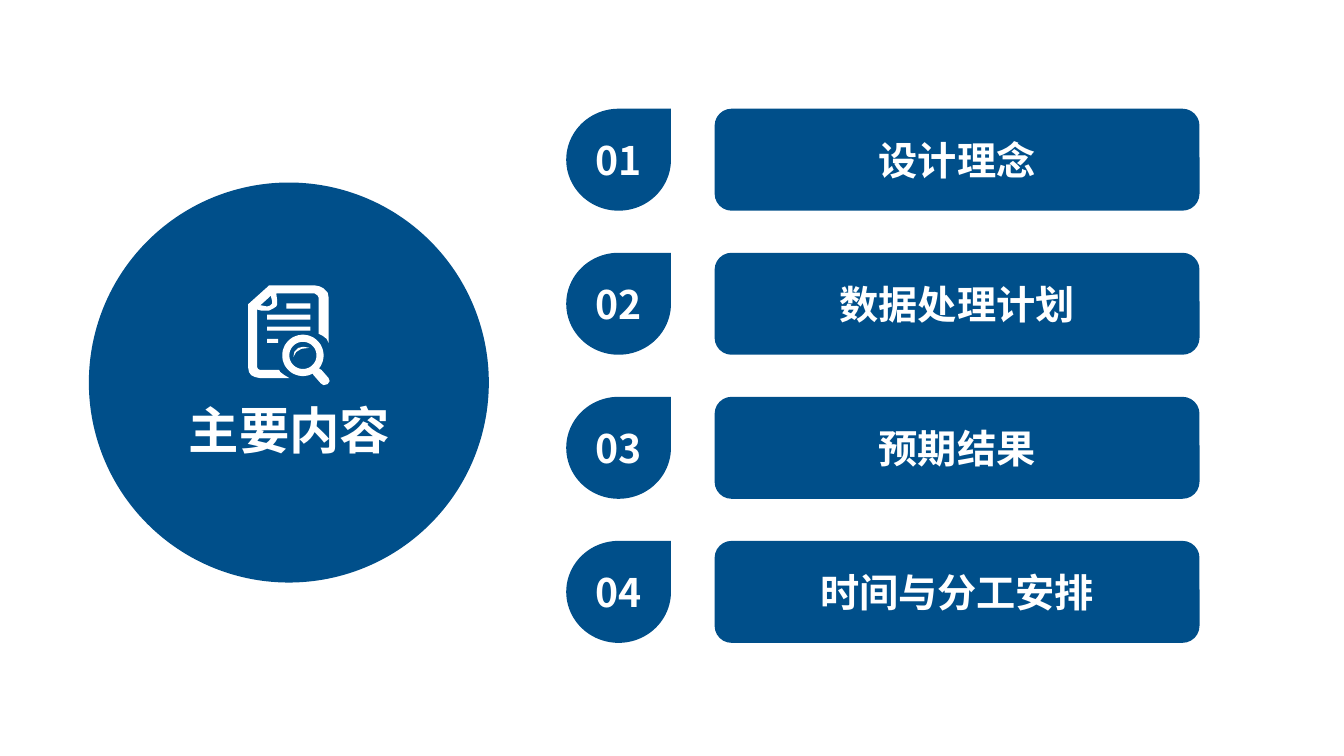
from math import cos, radians, sin

from lxml.etree import SubElement
from pptx import Presentation
from pptx.dml.color import RGBColor
from pptx.enum.shapes import MSO_SHAPE
from pptx.enum.text import MSO_ANCHOR, PP_ALIGN
from pptx.oxml.ns import qn
from pptx.util import Cm, Pt

# Content
TITLE = "主要内容"
TOPICS = ["设计理念", "数据处理计划", "预期结果", "时间与分工安排"]
FONT = "Noto Sans CJK SC"
COLORS = {"blue": "004F8A", "white": "FFFFFF"}

# Layout in centimetres
ROW_TOP, ROW_PITCH, ROW_HEIGHT = 2.74, 3.63, 2.57
NUMBER_LEFT, NUMBER_WIDTH = 14.27, 2.64
TOPIC_LEFT, TOPIC_WIDTH = 18.01, 12.22

# Icon outlines, in units of 0.0254 cm from the icon's corner
ICON_LEFT, ICON_TOP, ICON_UNIT = 6.25, 7.19, 0.0254
PRECISION = 10
PAGE = [(21, 0), (66, 0), (71, 1), (75, 3), (79, 7), (80, 12), (80, 57),
        (78, 53), (74, 50), (70, 48), (70, 12), (69, 10), (66, 8), (28, 8),
        (29, 15), (29, 19), (28, 21), (25, 23), (21, 25), (18, 25), (13, 25),
        (9, 24), (9, 81), (10, 83), (12, 84), (31, 84), (32, 86), (36, 89),
        (41, 92), (12, 92), (7, 91), (3, 89), (1, 86), (0, 81), (0, 19),
        (1, 18), (20, 1)]
FOLD = [(23, 10), (12, 20), (14, 20), (19, 21), (22, 20), (24, 18), (24, 16),
        (23, 12)]
TEXT_LINES = [(38, 18, 24, 5), (19, 29, 43, 5), (19, 41, 43, 4), (19, 53, 11, 4)]
LENS_CENTER, LENS_OUTER, LENS_INNER = (54.5, 69.5), 20.5, 13.5
HANDLE = [(73, 84), (80, 92), (81, 95), (79, 98), (75, 99), (72, 97), (65, 89),
          (64, 87)]
GLINT = [(45, 71), (48, 66), (53, 63), (61, 62), (55, 61), (50, 62), (46, 66)]


def paint(shape, color):
    shape.shadow.inherit = False
    shape.fill.solid()
    shape.fill.fore_color.rgb = RGBColor.from_string(COLORS[color])
    shape.line.fill.background()


def add_block(slide, preset, left, top, width, height, text="", size=28):
    shape = slide.shapes.add_shape(preset, Cm(left), Cm(top), Cm(width), Cm(height))
    paint(shape, "blue")
    if text:
        shape.text_frame.text = text
        shape.text_frame.vertical_anchor = MSO_ANCHOR.MIDDLE
        paragraph = shape.text_frame.paragraphs[0]
        paragraph.alignment = PP_ALIGN.CENTER
        font = paragraph.runs[0].font
        font.size, font.bold, font.name = Pt(size), True, FONT
        font.color.rgb = RGBColor.from_string(COLORS["white"])
        # East Asian typeface
        properties = paragraph.runs[0]._r.get_or_add_rPr()
        SubElement(properties, qn("a:ea")).set("typeface", FONT)
    return shape


def arc(radius, start, end):
    x, y = LENS_CENTER
    return [(x + radius * cos(radians(angle)), y + radius * sin(radians(angle)))
            for angle in range(start, end + 1, 3)]


def add_icon(slide):
    bars = [[(x, y), (x, y + height), (x + width, y + height), (x + width, y)]
            for x, y, width, height in TEXT_LINES]
    magnifier = arc(LENS_OUTER, 60, 399) + HANDLE
    outlines = [PAGE, FOLD, *bars, magnifier, arc(LENS_INNER, 0, 357), GLINT]
    builder = None
    for outline in outlines:
        points = [(x * PRECISION, y * PRECISION) for x, y in outline]
        if builder is None:
            builder = slide.shapes.build_freeform(
                *points[0], scale=Cm(ICON_UNIT) / PRECISION)
        else:
            builder.move_to(*points[0])
        builder.add_line_segments(points[1:], close=True)
    paint(builder.convert_to_shape(Cm(ICON_LEFT), Cm(ICON_TOP)), "white")


def main():
    presentation = Presentation()
    presentation.slide_width, presentation.slide_height = Cm(33.87), Cm(19.05)
    slide = presentation.slides.add_slide(presentation.slide_layouts[6])

    # Title circle
    add_block(slide, MSO_SHAPE.OVAL, 2.24, 4.6, 10.08, 10.08)
    title = add_block(slide, MSO_SHAPE.RECTANGLE, 4.5, 9.93, 5.59, 1.8, TITLE, 36)
    title.text_frame.word_wrap = False
    add_icon(slide)

    # Numbered topics
    for index, topic in enumerate(TOPICS):
        top = ROW_TOP + index * ROW_PITCH
        add_block(slide, MSO_SHAPE.TEAR, NUMBER_LEFT, top, NUMBER_WIDTH,
                  ROW_HEIGHT, f"{index + 1:02d}")
        add_block(slide, MSO_SHAPE.ROUNDED_RECTANGLE, TOPIC_LEFT, top, TOPIC_WIDTH,
                  ROW_HEIGHT, topic)

    presentation.save("out.pptx")


if __name__ == "__main__":
    main()
